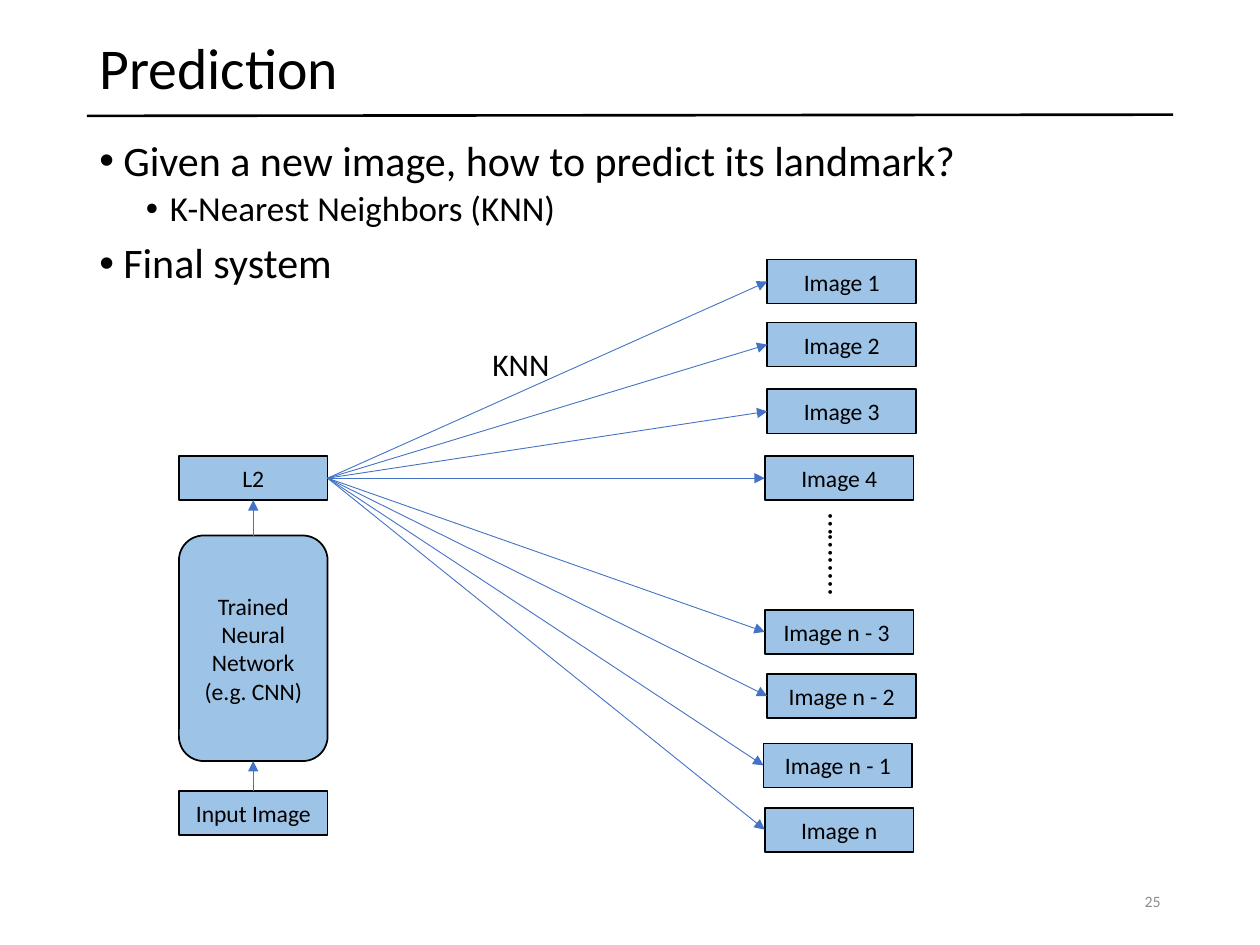
from dataclasses import dataclass

from lxml import etree
from pptx import Presentation
from pptx import util as u
from pptx.dml.color import RGBColor
from pptx.enum import shapes, text
from pptx.oxml.ns import qn

COLUMNS, ROWS = 100, 75
TOP, LEFT, BOTTOM, RIGHT = range(4)


@dataclass(frozen=True)
class Theme:
    font: str = "Calibri"
    ink: str = "000000"
    node: str = "9DC3E6"
    arrow: str = "4472C4"
    muted: str = "8C8C8C"
    title: float = 33
    body: float = 24
    sub: float = 20
    note: float = 18
    label: float = 13.5
    footer: float = 9


@dataclass(frozen=True)
class Box:
    """An area in grid columns and rows."""
    left: float
    top: float
    width: float
    height: float

    def inside(self, left, top, width, height):
        return Box(self.left + left, self.top + top, width, height)

    def lengths(self):
        return [cells(n) for n in (self.left, self.top, self.width, self.height)]


THEME = Theme()
WIDTH, HEIGHT = u.Inches(10), u.Inches(7.5)


def cells(count):
    """Grid cells are square, so one measure serves both directions."""
    return round(count * WIDTH / COLUMNS)


def rgb(value):
    return RGBColor.from_string(value)


def write(frame, lines, size, color=THEME.ink, align=text.PP_ALIGN.LEFT,
          anchor=text.MSO_ANCHOR.TOP, wrap=True):
    frame.word_wrap = wrap
    frame.vertical_anchor = anchor
    for i, line in enumerate(lines):
        paragraph = frame.add_paragraph() if i else frame.paragraphs[0]
        paragraph.text = line
        paragraph.alignment = align
        style(paragraph, size, color)


def style(paragraph, size, color=THEME.ink):
    font = paragraph.font
    font.name, font.size, font.color.rgb = THEME.font, u.Pt(size), rgb(color)


def add_text(slide, box, line, size, **options):
    label = slide.shapes.add_textbox(*box.lengths())
    write(label.text_frame, [line], size, **options)
    return label


def add_node(slide, box, *lines, kind=shapes.MSO_SHAPE.RECTANGLE):
    node = slide.shapes.add_shape(kind, *box.lengths())
    node.shadow.inherit = False
    node.fill.solid()
    node.fill.fore_color.rgb = rgb(THEME.node)
    node.line.color.rgb = rgb(THEME.ink)
    node.line.width = u.Pt(1)
    write(node.text_frame, lines, THEME.label, align=text.PP_ALIGN.CENTER,
          anchor=text.MSO_ANCHOR.MIDDLE)
    return node


def add_line(slide, ends, color, width):
    line = slide.shapes.add_connector(shapes.MSO_CONNECTOR.STRAIGHT, *map(cells, ends))
    line.line.color.rgb = rgb(color)
    line.line.width = u.Pt(width)
    etree.SubElement(line._element.spPr, qn("a:effectLst"))
    return line


def join(slide, start, start_side, end, end_side):
    arrow = add_line(slide, (0, 0, 0, 0), THEME.arrow, 0.5)
    arrow.begin_connect(start, start_side)
    arrow.end_connect(end, end_side)
    outline = arrow.line._get_or_add_ln()
    etree.SubElement(outline, qn("a:tailEnd"), type="triangle")


def heading(slide, box):
    title = add_text(slide, box, "Prediction", THEME.title, anchor=text.MSO_ANCHOR.MIDDLE)
    title.text_frame.paragraphs[0].line_spacing = 0.9
    bottom = box.top + box.height
    add_line(slide, (box.left, bottom, box.left + box.width, bottom - 0.1), THEME.ink, 1.5)


def outline(slide, box):
    points = [
        (0, "Given a new image, how to predict its landmark?"),
        (1, "K-Nearest Neighbors (KNN)"),
        (0, "Final system"),
    ]
    margins, sizes, gaps = (0.19, 0.56), (THEME.body, THEME.sub), (7.5, 3.8)
    frame = slide.shapes.add_textbox(*box.lengths()).text_frame
    frame.word_wrap = True
    for i, (level, line) in enumerate(points):
        paragraph = frame.add_paragraph() if i else frame.paragraphs[0]
        paragraph.text = line
        paragraph.level = level
        paragraph.line_spacing = 0.9
        paragraph.space_before = u.Pt(gaps[level] if i else 0)
        properties = paragraph._p.get_or_add_pPr()
        properties.set("marL", str(u.Inches(margins[level])))
        properties.set("indent", str(-u.Inches(margins[0])))
        etree.SubElement(properties, qn("a:buFont"), typeface="Arial")
        etree.SubElement(properties, qn("a:buChar"), char="•")
        style(paragraph, sizes[level])


def embedding(slide, box):
    """Stack input, network and embedding; return the embedding node."""
    row = 3.5
    network = add_node(slide, box.inside(0, 6.3, box.width, 17.9),
                       "Trained Neural Network", "(e.g. CNN)",
                       kind=shapes.MSO_SHAPE.ROUNDED_RECTANGLE)
    query = add_node(slide, box.inside(0, box.height - row, box.width, row), "Input Image")
    vector = add_node(slide, box.inside(0, 0, box.width, row), "L2")
    join(slide, network, TOP, vector, BOTTOM)
    join(slide, query, TOP, network, BOTTOM)
    return vector


def neighbors(slide, box, vector):
    """Place the candidate images and link the embedding to each of them."""
    candidates = [
        ("Image 1", 0.3, 0), ("Image 2", 0.3, 5), ("Image 3", 0.3, 10.3),
        ("Image 4", 0.1, 15.6), ("Image n - 3 ", 0.1, 27.8), ("Image n - 2", 0.3, 32.9),
        ("Image n - 1", 0, 38.4), ("Image n", 0.1, 43.5),
    ]
    for name, left, top in candidates:
        image = add_node(slide, box.inside(left, top, 11.8, 3.5), name)
        join(slide, vector, RIGHT, image, LEFT)
    dots = add_text(slide, box.inside(1.8, 21.5, 8.7, 4), "…….....", THEME.note, wrap=False)
    dots.rotation = 90


def main():
    deck = Presentation()
    deck.slide_width, deck.slide_height = WIDTH, HEIGHT
    slide = deck.slides.add_slide(deck.slide_layouts[6])
    heading(slide, Box(6.9, 2, 86.2, 7.2))
    outline(slide, Box(6.9, 10.6, 86.2, 57))
    vector = embedding(slide, Box(14.2, 36.2, 11.8, 30.1))
    neighbors(slide, Box(60.6, 20.6, 12.1, 47), vector)
    add_text(slide, Box(38.1, 26.9, 7, 4), "KNN", THEME.note, wrap=False)
    add_text(slide, Box(70.6, ROWS - 5.5, 22.5, 4), "25", THEME.footer, color=THEME.muted,
             align=text.PP_ALIGN.RIGHT, anchor=text.MSO_ANCHOR.MIDDLE)
    deck.save("out.pptx")


if __name__ == "__main__":
    main()
